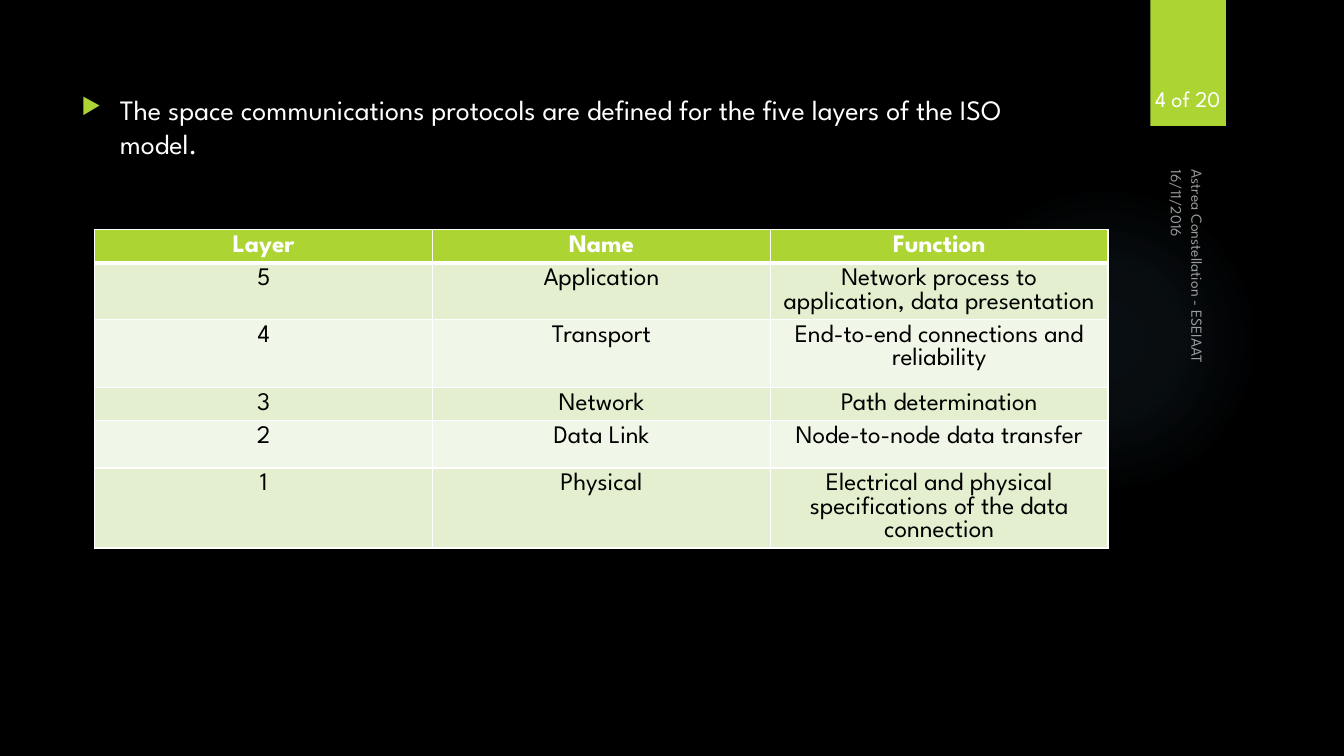
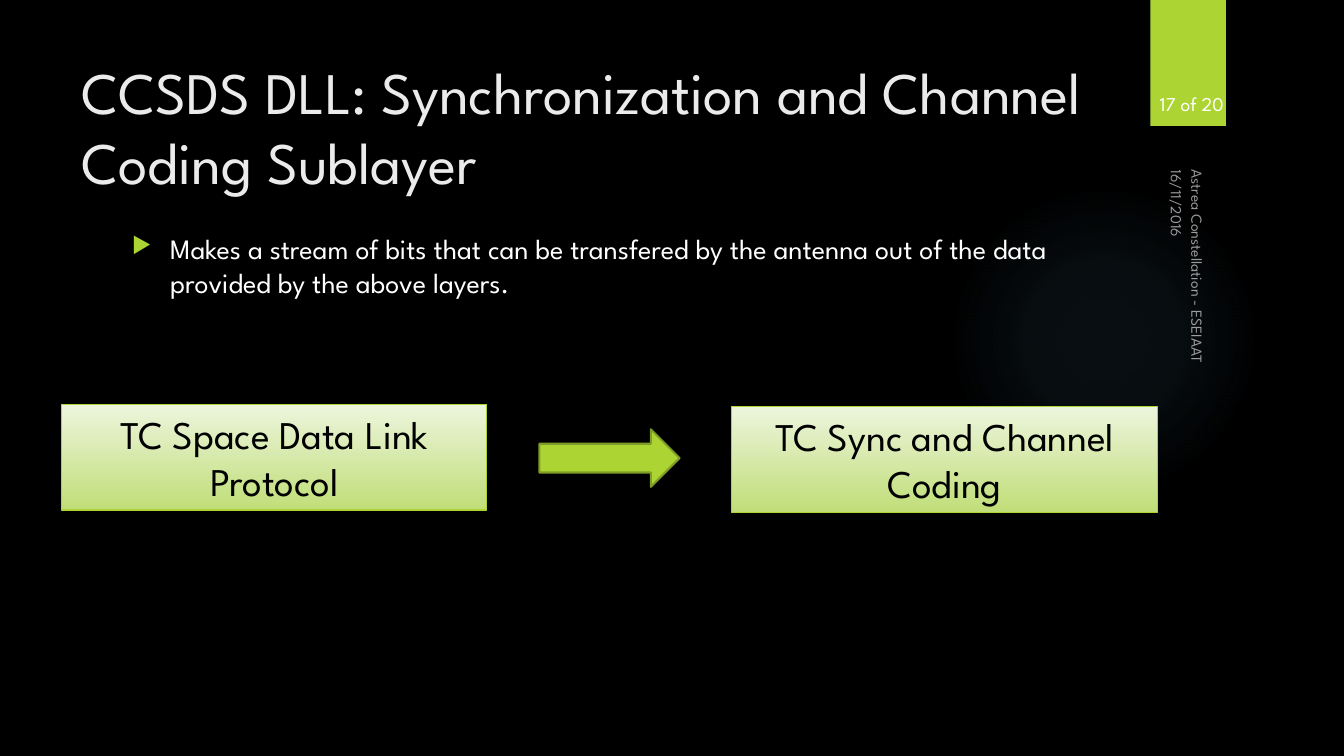
from typing import NamedTuple, Optional

from lxml import etree
from pptx import Presentation
from pptx import util as u
from pptx.dml.color import RGBColor
from pptx.enum import shapes, text
from pptx.oxml import ns

FONT = "League Spartan"
LIME, OLIVE, WHITE, BLACK, TITLE, GLOW = "ACD433", "7F9D26", "FFFFFF", "000000", "EBEBEB", "7AC4F0"
ROW_FILLS = ("F1F7E8", "E3EFCE")
LINE_PITCH = 1.2
TABLE_PITCH = 0.92
LEFT, CENTER = text.PP_ALIGN.LEFT, text.PP_ALIGN.CENTER
TOP, MIDDLE, BOTTOM = text.MSO_ANCHOR.TOP, text.MSO_ANCHOR.MIDDLE, text.MSO_ANCHOR.BOTTOM


class Box(NamedTuple):
    left: float
    top: float
    width: float
    height: float

    def lengths(self) -> list:
        return [u.Inches(value) for value in self]


class TextStyle(NamedTuple):
    size: float
    color: str = WHITE
    align: text.PP_ALIGN = LEFT
    anchor: text.MSO_ANCHOR = TOP
    bold: bool = False
    pitch: float = LINE_PITCH
    opacity: int = 100


class Stop(NamedTuple):
    position: int
    color: str
    opacity: int = 100


class Footer(NamedTuple):
    words: str
    box: Box
    anchor: text.MSO_ANCHOR


TITLE_STYLE = TextStyle(42, TITLE)
BODY_STYLE = TextStyle(20)
STEP_STYLE = TextStyle(28, BLACK, CENTER, MIDDLE)
HEADER_STYLE = TextStyle(18, WHITE, CENTER, bold=True, pitch=TABLE_PITCH)
CELL_STYLE = TextStyle(18, BLACK, CENTER, pitch=TABLE_PITCH)

FOOTERS = (
    Footer("16/11/2016", Box(11.11, 1.96, 1.08, 0.33), TOP),
    Footer("Astrea Constellation - ESEIAAT", Box(9.79, 3.53, 4.22, 0.33), BOTTOM),
)
GLOW_STOPS = (Stop(0, GLOW, 7), Stop(36, GLOW, 6), Stop(69, GLOW, 0))
STEP_STOPS = (Stop(0, "EDF5DD"), Stop(100, "C0DE78"))

LAYERS = (
    ("Layer", "Name", "Function"),
    ("5", "Application", "Network process to application, data presentation"),
    ("4", "Transport", "End-to-end connections and reliability"),
    ("3", "Network", "Path determination"),
    ("2", "Data Link", "Node-to-node data transfer"),
    ("1", "Physical", "Electrical and physical specifications of the data connection"),
)
ROW_HEIGHTS = (0.33, 0.56, 0.67, 0.33, 0.47, 0.79)
COLUMN_WIDTH = 3.35


def rgb(color: str) -> RGBColor:
    return RGBColor.from_string(color)


def add_element(parent, tag: str, **attributes):
    values = {name: str(value) for name, value in attributes.items()}
    return etree.SubElement(parent, ns.qn(f"a:{tag}"), values)


def write(frame, words: str, style: TextStyle) -> None:
    frame.text = words
    frame.word_wrap = True
    frame.vertical_anchor = style.anchor
    paragraph = frame.paragraphs[0]
    paragraph.alignment = style.align
    paragraph.line_spacing = u.Pt(round(style.size * style.pitch, 1))
    run = paragraph.runs[0]
    font = run.font
    font.name, font.size, font.bold = FONT, u.Pt(style.size), style.bold
    font.color.rgb = rgb(style.color)
    if style.opacity < 100:
        color = run._r.find(".//" + ns.qn("a:srgbClr"))
        add_element(color, "alpha", val=style.opacity * 1000)


def add_text(slide, box: Box, words: str, style: TextStyle):
    shape = slide.shapes.add_textbox(*box.lengths())
    write(shape.text_frame, words, style)
    return shape


def add_bullet(slide, box: Box, words: str) -> None:
    shape = add_text(slide, box, words, BODY_STYLE)
    properties = shape.text_frame.paragraphs[0]._p.get_or_add_pPr()
    indent = u.Inches(0.38)
    properties.set("marL", str(indent))
    properties.set("indent", str(-indent))
    add_element(add_element(properties, "buClr"), "srgbClr", val=LIME)
    add_element(properties, "buSzPct", val=80000)
    add_element(properties, "buChar", char="▶")


def add_shape(slide, kind: shapes.MSO_SHAPE, box: Box, fill: Optional[str] = None,
              line: Optional[str] = None, line_width: float = 0.75):
    shape = slide.shapes.add_shape(kind, *box.lengths())
    shape.shadow.inherit = False
    if fill:
        shape.fill.solid()
        shape.fill.fore_color.rgb = rgb(fill)
    if line:
        shape.line.color.rgb = rgb(line)
        shape.line.width = u.Pt(line_width)
    else:
        shape.line.fill.background()
    return shape


def fill_gradient(shape, stops: tuple, circular: bool = False) -> None:
    geometry = shape._element.spPr.find(ns.qn("a:prstGeom"))
    gradient = etree.Element(ns.qn("a:gradFill"), rotWithShape="1")
    geometry.addnext(gradient)
    stop_list = add_element(gradient, "gsLst")
    for stop in stops:
        color = add_element(add_element(stop_list, "gs", pos=stop.position * 1000),
                            "srgbClr", val=stop.color)
        if stop.opacity < 100:
            add_element(color, "alpha", val=stop.opacity * 1000)
    if circular:
        circle = add_element(gradient, "path", path="circle")
        add_element(circle, "fillToRect", l=50000, t=50000, r=50000, b=50000)
    else:
        add_element(gradient, "lin", ang=90 * 60000, scaled=0)


def add_borders(cell, top: float, bottom: float) -> None:
    properties = cell._tc.get_or_add_tcPr()
    widths = {"lnL": 1, "lnR": 1, "lnT": top, "lnB": bottom}
    for side, width in widths.items():
        line = add_element(properties, side, w=u.Pt(width))
        add_element(add_element(line, "solidFill"), "srgbClr", val=WHITE)


def add_layer_table(slide) -> None:
    columns = len(LAYERS[0])
    box = Box(0.94, 2.28, columns * COLUMN_WIDTH, sum(ROW_HEIGHTS))
    table = slide.shapes.add_table(len(LAYERS), columns, *box.lengths()).table
    for column in table.columns:
        column.width = u.Inches(COLUMN_WIDTH)
    for index, (words, height) in enumerate(zip(LAYERS, ROW_HEIGHTS)):
        table.rows[index].height = u.Inches(height)
        header = index == 0
        for cell, entry in zip(table.rows[index].cells, words):
            write(cell.text_frame, entry, HEADER_STYLE if header else CELL_STYLE)
            add_borders(cell, top=3 if index == 1 else 1, bottom=3 if header else 1)
            cell.fill.solid()
            cell.fill.fore_color.rgb = rgb(LIME if header else ROW_FILLS[index % 2])


def add_base_slide(presentation):
    slide = presentation.slides.add_slide(presentation.slide_layouts[6])
    slide.background.fill.solid()
    slide.background.fill.fore_color.rgb = rgb(BLACK)
    glow = add_shape(slide, shapes.MSO_SHAPE.OVAL, Box(9.41, 1.83, 3.08, 3.08))
    fill_gradient(glow, GLOW_STOPS, circular=True)
    add_shape(slide, shapes.MSO_SHAPE.RECTANGLE, Box(11.41, 0, 0.75, 1.25), LIME)
    for footer in FOOTERS:
        style = TextStyle(11, anchor=footer.anchor, opacity=60)
        add_text(slide, footer.box, footer.words, style).rotation = 90
    return slide


def add_page_number(slide, box: Box, words: str, size: float) -> None:
    add_text(slide, box, words, TextStyle(size, align=CENTER, anchor=BOTTOM))


def add_step(slide, left: float, top: float, words: str) -> None:
    step = add_shape(slide, shapes.MSO_SHAPE.RECTANGLE, Box(left, top, 4.22, 1.05), line=LIME)
    fill_gradient(step, STEP_STOPS)
    write(step.text_frame, words, STEP_STYLE)


def build_layers_slide(presentation) -> None:
    slide = add_base_slide(presentation)
    add_bullet(slide, Box(0.71, 0.87, 9.78, 4.59),
               "The space communications protocols are defined for the five layers of the ISO model.")
    add_page_number(slide, Box(11.32, 0.32, 0.92, 0.84), "4 of 20", 16)
    add_layer_table(slide)


def build_coding_slide(presentation) -> None:
    slide = add_base_slide(presentation)
    add_text(slide, Box(0.71, 0.5, 10.29, 1.53),
             "CCSDS DLL: Synchronization and Channel Coding Sublayer", TITLE_STYLE)
    add_bullet(slide, Box(1.21, 2.25, 9.78, 4.59),
               "Makes a stream of bits that can be transfered by the antenna "
               "out of the data provided by the above layers.")
    add_step(slide, 0.61, 4.01, "TC Space Data Link Protocol")
    add_step(slide, 7.26, 4.03, "TC Sync and Channel Coding")
    add_shape(slide, shapes.MSO_SHAPE.RIGHT_ARROW, Box(5.35, 4.26, 1.39, 0.57), LIME, OLIVE, 1.5)
    add_page_number(slide, Box(11.3, 0.35, 1.04, 0.84), "17 of 20", 14)


def main() -> None:
    presentation = Presentation()
    presentation.slide_width = u.Inches(13.33)
    presentation.slide_height = u.Inches(7.5)
    build_layers_slide(presentation)
    build_coding_slide(presentation)
    presentation.save("out.pptx")


if __name__ == "__main__":
    main()
